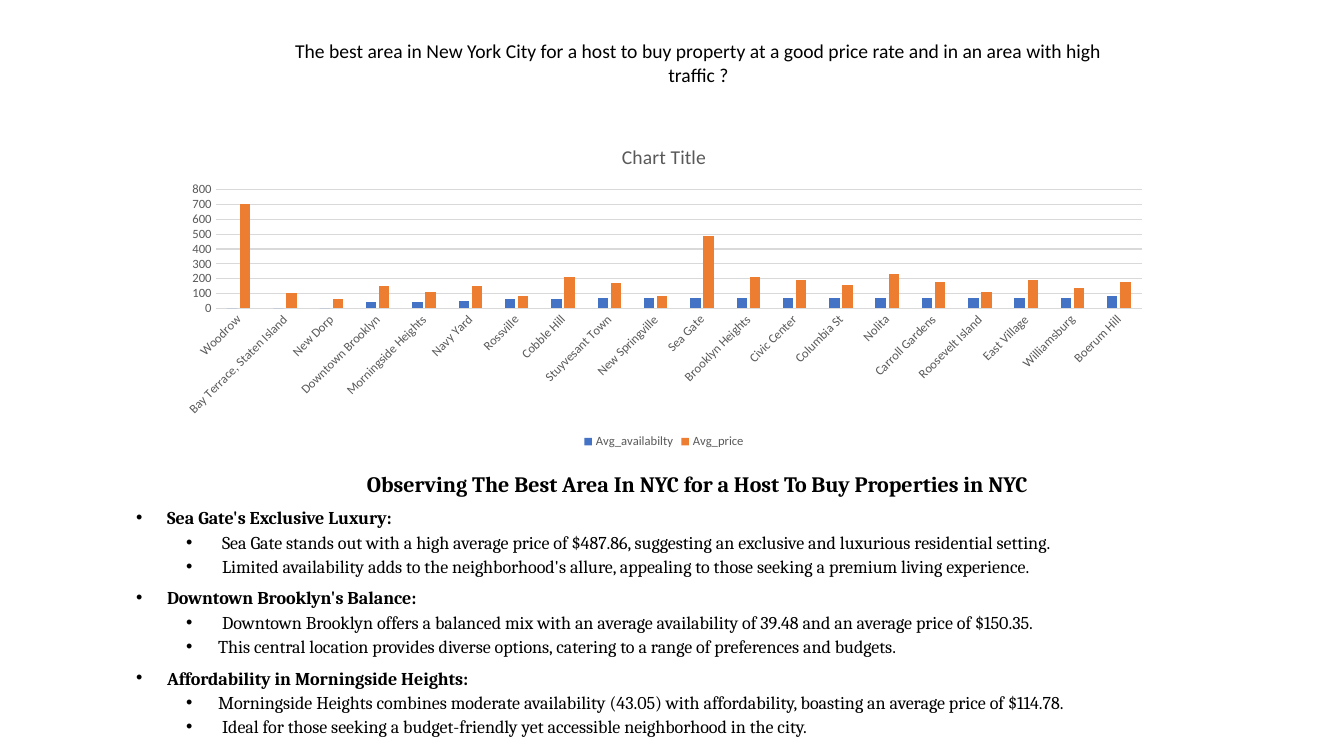
from lxml import etree
from pptx import Presentation
from pptx.chart.data import CategoryChartData
from pptx.dml.color import RGBColor
from pptx.enum.chart import XL_CHART_TYPE as ChartType, XL_LEGEND_POSITION as LegendPosition
from pptx.enum.chart import XL_TICK_MARK as TickMark
from pptx.enum.text import MSO_ANCHOR as Anchor, MSO_AUTO_SIZE as AutoSize, PP_ALIGN as Align
from pptx.oxml.ns import qn
from pptx.util import Pt

QUESTION = ("The best area in New York City for a host to buy property at a good price rate "
            "and in an area with high traffic ?")
HEADING = "Observing The Best Area In NYC for a Host To Buy Properties in NYC"
FINDINGS = [
    ("Sea Gate's Exclusive Luxury:", [
        ("Sea Gate stands out with a high average price of $487.86, suggesting an exclusive "
         "and luxurious residential setting.", 86),
        ("Limited availability adds to the neighborhood's allure, appealing to those seeking "
         "a premium living experience.", 86)]),
    ("Downtown Brooklyn's Balance:", [
        ("Downtown Brooklyn offers a balanced mix with an average availability of 39.48 "
         "and an average price of $150.35.", 86),
        ("This central location provides diverse options, catering to a range of preferences "
         "and budgets.", 82)]),
    ("Affordability in Morningside Heights:", [
        ("Morningside Heights combines moderate availability (43.05) with affordability, "
         "boasting an average price of $114.78.", 82),
        ("Ideal for those seeking a budget-friendly yet accessible neighborhood in the city.", 86)]),
]
AREAS = [
    ("Woodrow", 0, 700), ("Bay Terrace, Staten Island", 0, 100), ("New Dorp", 0, 60),
    ("Downtown Brooklyn", 40, 150), ("Morningside Heights", 40, 110), ("Navy Yard", 50, 150),
    ("Rossville", 60, 80), ("Cobble Hill", 60, 210), ("Stuyvesant Town", 70, 170),
    ("New Springville", 70, 80), ("Sea Gate", 70, 490), ("Brooklyn Heights", 70, 210),
    ("Civic Center", 70, 190), ("Columbia St", 70, 160), ("Nolita", 70, 230),
    ("Carroll Gardens", 70, 180), ("Roosevelt Island", 70, 110), ("East Village", 70, 190),
    ("Williamsburg", 70, 140), ("Boerum Hill", 80, 180),
]
SERIES = [("Avg_availabilty", "4472C4"), ("Avg_price", "ED7D31")]
BLACK, WHITE, GREY, RULE = "000000", "FFFFFF", "595959", "D9D9D9"
BULLET_LEFT = {0: 0, 1: 50}


def px(length):
    return round(length * 914400 / 100.8)


def rgb(value):
    return RGBColor.from_string(value)


def apply(target, values):
    for name, value in values.items():
        setattr(target, name, value)


def set_font(font, size, color, name="Calibri", bold=False):
    apply(font, {"size": Pt(size), "name": name, "bold": bold})
    font.color.rgb = rgb(color)


def place(shape, left, top, width, height):
    apply(shape, {"left": px(left), "top": px(top), "width": px(width), "height": px(height)})


def add_line(paragraph, text, size, margin, before, bold, level=0, bullet=True):
    apply(paragraph, {"level": level, "line_spacing": 0.8, "space_before": Pt(before),
                      "alignment": Align.LEFT if bullet else Align.CENTER})
    properties = paragraph._p.get_or_add_pPr()
    indent = BULLET_LEFT[level] - margin if bullet else 0
    properties.set("marL", str(px(margin)))
    properties.set("indent", str(px(indent)))
    if bullet:
        etree.SubElement(properties, qn("a:buFont")).set("typeface", "Arial")
        etree.SubElement(properties, qn("a:buChar")).set("char", "•")
    run = paragraph.add_run()
    run.text = text
    set_font(run.font, size, BLACK, "Cambria", bold)


def add_findings(slide):
    slide.shapes.title._element.getparent().remove(slide.shapes.title._element)
    body = slide.placeholders[1]
    place(body, 126, 471, 1115, 275)
    body.fill.solid()
    body.fill.fore_color.rgb = rgb(WHITE)
    frame = body.text_frame
    apply(frame, {"word_wrap": True, "auto_size": AutoSize.NONE, "vertical_anchor": Anchor.TOP})
    add_line(frame.paragraphs[0], HEADING, 15.7, 28, 0, True, bullet=False)
    for title, details in FINDINGS:
        add_line(frame.add_paragraph(), title, 12.9, 31, 10, True)
        for text, margin in details:
            add_line(frame.add_paragraph(), text, 12.9, margin, 5, False, level=1)


def add_price_chart(slide):
    data = CategoryChartData()
    names, *columns = zip(*AREAS)
    data.categories = names
    for (name, _), values in zip(SERIES, columns):
        data.add_series(name, values)
    chart = slide.shapes.add_chart(ChartType.COLUMN_CLUSTERED, px(166), px(128), px(996), px(325),
                                   data).chart
    set_font(chart.font, 10, BLACK)
    chart.has_title = True
    title = chart.chart_title.text_frame
    title.text = "Chart Title"
    set_font(title.paragraphs[0].runs[0].font, 14, GREY)
    chart.has_legend = True
    apply(chart.legend, {"position": LegendPosition.BOTTOM, "include_in_layout": False})
    set_font(chart.legend.font, 9, GREY)

    plot = chart.plots[0]
    apply(plot, {"gap_width": 219, "overlap": -27, "vary_by_categories": False})
    for series, (_, color) in zip(plot.series, SERIES):
        series.invert_if_negative = False
        series.format.fill.solid()
        series.format.fill.fore_color.rgb = rgb(color)

    areas, amounts = chart.category_axis, chart.value_axis
    for axis in (areas, amounts):
        apply(axis, {"major_tick_mark": TickMark.NONE, "minor_tick_mark": TickMark.NONE})
        set_font(axis.tick_labels.font, 9, GREY)
    apply(amounts, {"minimum_scale": 0, "maximum_scale": 800, "major_unit": 100,
                    "has_major_gridlines": True})
    amounts.format.line.fill.background()
    for line in (areas.format.line, amounts.major_gridlines.format.line):
        line.width = Pt(0.75)
        line.color.rgb = rgb(RULE)
    areas._element.find(qn("c:txPr")).find(qn("a:bodyPr")).set("rot", "-2700000")


def add_question(slide):
    table = slide.shapes.add_table(1, 1, px(284), px(37), px(829), px(52)).table
    apply(table, {"first_row": False, "horz_banding": False})
    cell = table.cell(0, 0)
    apply(cell, {"text": QUESTION, "vertical_anchor": Anchor.MIDDLE, "margin_left": px(1),
                 "margin_right": px(1), "margin_top": px(1), "margin_bottom": 0})
    paragraph = cell.text_frame.paragraphs[0]
    paragraph.alignment = Align.CENTER
    set_font(paragraph.runs[0].font, 14, BLACK)
    properties = cell._tc.get_or_add_tcPr()
    for side in ("lnL", "lnR", "lnT", "lnB"):
        border = etree.SubElement(properties, qn(f"a:{side}"), w=str(Pt(1)))
        fill = etree.SubElement(border, qn("a:solidFill"))
        etree.SubElement(fill, qn("a:srgbClr"), val=WHITE)
    cell.fill.background()


def main():
    presentation = Presentation()
    apply(presentation, {"slide_width": px(1344), "slide_height": px(756)})
    slide = presentation.slides.add_slide(presentation.slide_layouts[0])
    add_findings(slide)
    add_price_chart(slide)
    add_question(slide)
    presentation.save("out.pptx")


if __name__ == "__main__":
    main()
